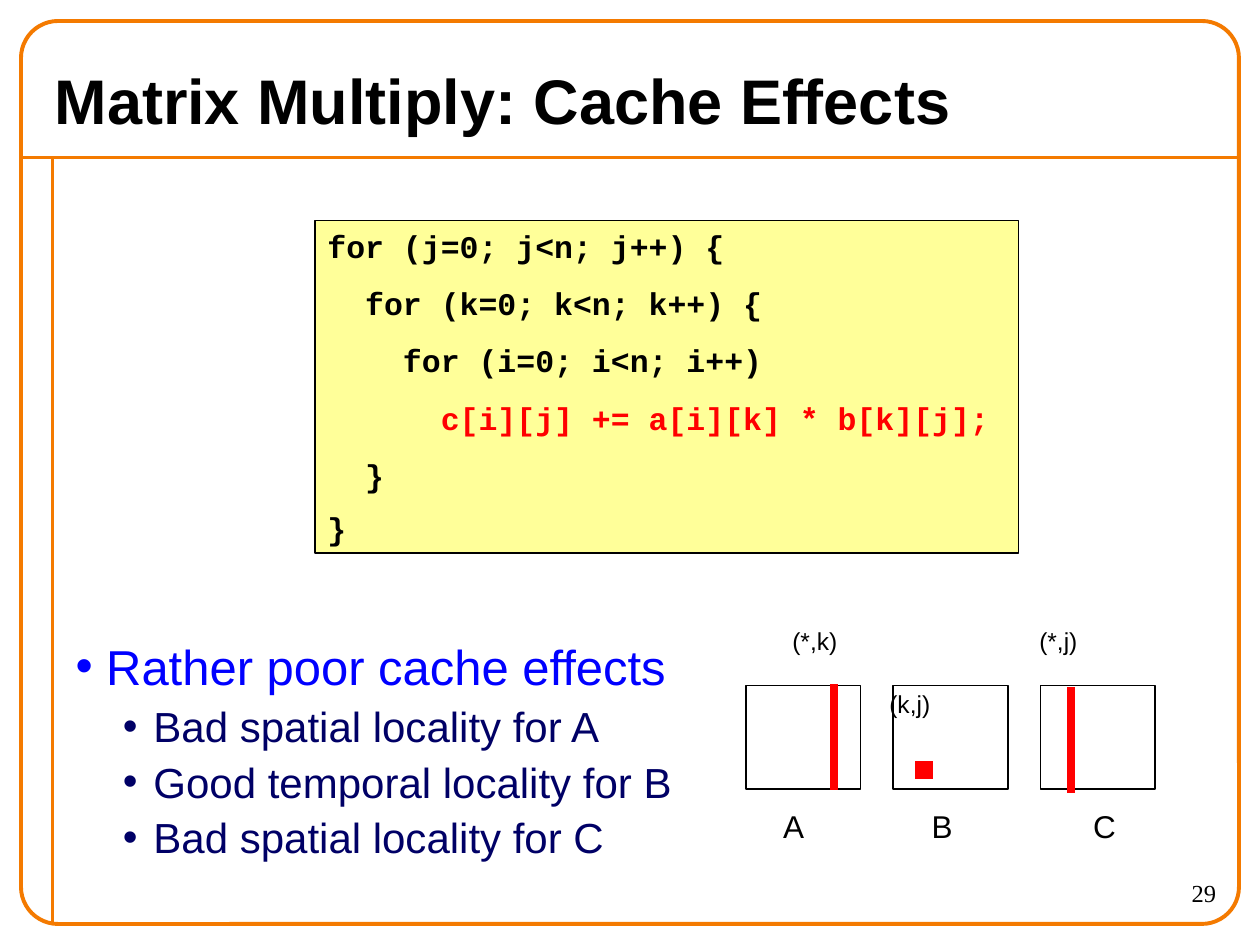
from lxml.etree import SubElement
from pptx import Presentation
from pptx.dml.color import RGBColor
from pptx.enum.shapes import MSO_CONNECTOR as Connector, MSO_SHAPE as Shape
from pptx.enum.text import MSO_ANCHOR as Anchor, MSO_AUTO_SIZE as AutoSize, PP_ALIGN as Align
from pptx.oxml.ns import qn
from pptx.util import Pt

COLORS = {name: RGBColor.from_string(value) for name, value in {
    "orange": "F47A00", "black": "000000", "white": "FFFFFF", "yellow": "FFFF99",
    "red": "FF0000", "blue": "0000FF", "navy": "000066"}.items()}

deck = Presentation()
deck.slide_width, deck.slide_height = Pt(720), Pt(540)
page = deck.slides.add_slide(deck.slide_layouts[1])


def add_span(para, text, size, color="black", font="Arial", bold=False):
    span = para.add_run()
    span.text = text
    span.font.size, span.font.name, span.font.bold = Pt(size), font, bold
    span.font.color.rgb = COLORS[color]


def add_box(kind, left, top, width, height, fill, line, weight):
    box = page.shapes.add_shape(kind, Pt(left), Pt(top), Pt(width), Pt(height))
    box.shadow.inherit = False
    if fill:
        box.fill.solid()
        box.fill.fore_color.rgb = COLORS[fill]
    else:
        box.fill.background()
    box.line.color.rgb = COLORS[line]
    box.line.width = Pt(weight)
    return box


# Page frame
frame = add_box(Shape.ROUNDED_RECTANGLE, 12, 12, 696, 516, None, "orange", 2.25)
frame.adjustments[0] = 0.041

# Title
title = page.shapes.title
title.left, title.top, title.width, title.height = Pt(24), Pt(30), Pt(672), Pt(54)
title.text_frame.auto_size = AutoSize.NONE
title.text_frame.vertical_anchor = Anchor.MIDDLE
para = title.text_frame.paragraphs[0]
para.alignment = Align.LEFT
add_span(para, "Matrix Multiply: Cache Effects", 36, bold=True)

# Bullet list
body = page.placeholders[1]
body.left, body.top, body.width, body.height = Pt(36), Pt(360), Pt(360), Pt(168)
bullet_frame = body.text_frame
bullet_frame.auto_size = AutoSize.NONE
bullets = [("Rather poor cache effects", 0), ("Bad spatial locality for A", 1),
           ("Good temporal locality for B", 1), ("Bad spatial locality for C", 1)]
for index, (text, level) in enumerate(bullets):
    para = bullet_frame.paragraphs[0] if index == 0 else bullet_frame.add_paragraph()
    para.level = level
    para.space_before = Pt(3 * level)
    settings = para._p.get_or_add_pPr()
    settings.set("marL", str(Pt((17.5, 44.5)[level])))
    settings.set("indent", str(Pt(-17.5)))
    SubElement(settings, qn("a:buChar"), char="•")
    add_span(para, text, (28, 24)[level], ("blue", "navy")[level])

# Code listing
code = add_box(Shape.RECTANGLE, 180, 126, 402, 190, "yellow", "black", 1)
listing = code.text_frame
listing.word_wrap = True
listing.vertical_anchor = Anchor.TOP
code_lines = [
    ("for (j=0; j<n; j++) {", "black", 0),
    ("  for (k=0; k<n; k++) {", "black", 11.2),
    ("    for (i=0; i<n; i++)", "black", 11.2),
    ("      c[i][j] += a[i][k] * b[k][j];", "red", 11.2),
    ("  }", "black", 11.2),
    ("}", "black", 8.8)]
for index, (text, color, gap) in enumerate(code_lines):
    para = listing.paragraphs[0] if index == 0 else listing.add_paragraph()
    para.alignment = Align.LEFT
    para.space_before = Pt(gap)
    add_span(para, text, 18, color, "Courier New", True)

# Matrices, with the accessed element of B
for column in range(3):
    add_box(Shape.RECTANGLE, 426.2 + 84.2 * column, 391.7, 65.5, 59, "white", "black", 1)
element = add_box(Shape.RECTANGLE, 525.3, 437, 5.8, 5.8, "red", "red", 4.5)
SubElement(element.line._get_or_add_ln(), qn("a:miter"), lim="800000")

# Title rule, side rule and the accessed columns of A and C
for x1, y1, x2, y2, color, weight in [
        (12, 90, 708, 90, "orange", 2.25), (30, 90, 30, 528, "orange", 2.25),
        (476.6, 451.4, 476.6, 391, "red", 4.5), (612, 452.9, 612, 392.4, "red", 4.5)]:
    rule = page.shapes.add_connector(Connector.STRAIGHT, Pt(x1), Pt(y1), Pt(x2), Pt(y2))
    rule.line.color.rgb = COLORS[color]
    rule.line.width = Pt(weight)
    SubElement(rule._element.spPr, qn("a:effectLst"))

# Matrix labels, index labels and page number
for text, left, top, width, height, size, font, align in [
        ("A", 440.4, 457.5, 27, 29, 18, "Arial", Align.LEFT),
        ("B", 525.2, 457.5, 27, 29, 18, "Arial", Align.LEFT),
        ("C", 617.5, 457.5, 27, 29, 18, "Arial", Align.LEFT),
        ("(*,k)", 445.7, 354.2, 40, 24, 14, "Arial", Align.LEFT),
        ("(k,j)", 501.1, 390.2, 38, 24, 14, "Arial", Align.LEFT),
        ("(*,j)", 586.8, 354.2, 36, 24, 14, "Arial", Align.LEFT),
        ("29", 630, 498, 72, 30, 14, "Times New Roman", Align.RIGHT)]:
    label = page.shapes.add_textbox(Pt(left), Pt(top), Pt(width), Pt(height))
    label.text_frame.word_wrap = align == Align.RIGHT
    para = label.text_frame.paragraphs[0]
    para.alignment = align
    add_span(para, text, size, font=font)

deck.save("out.pptx")
